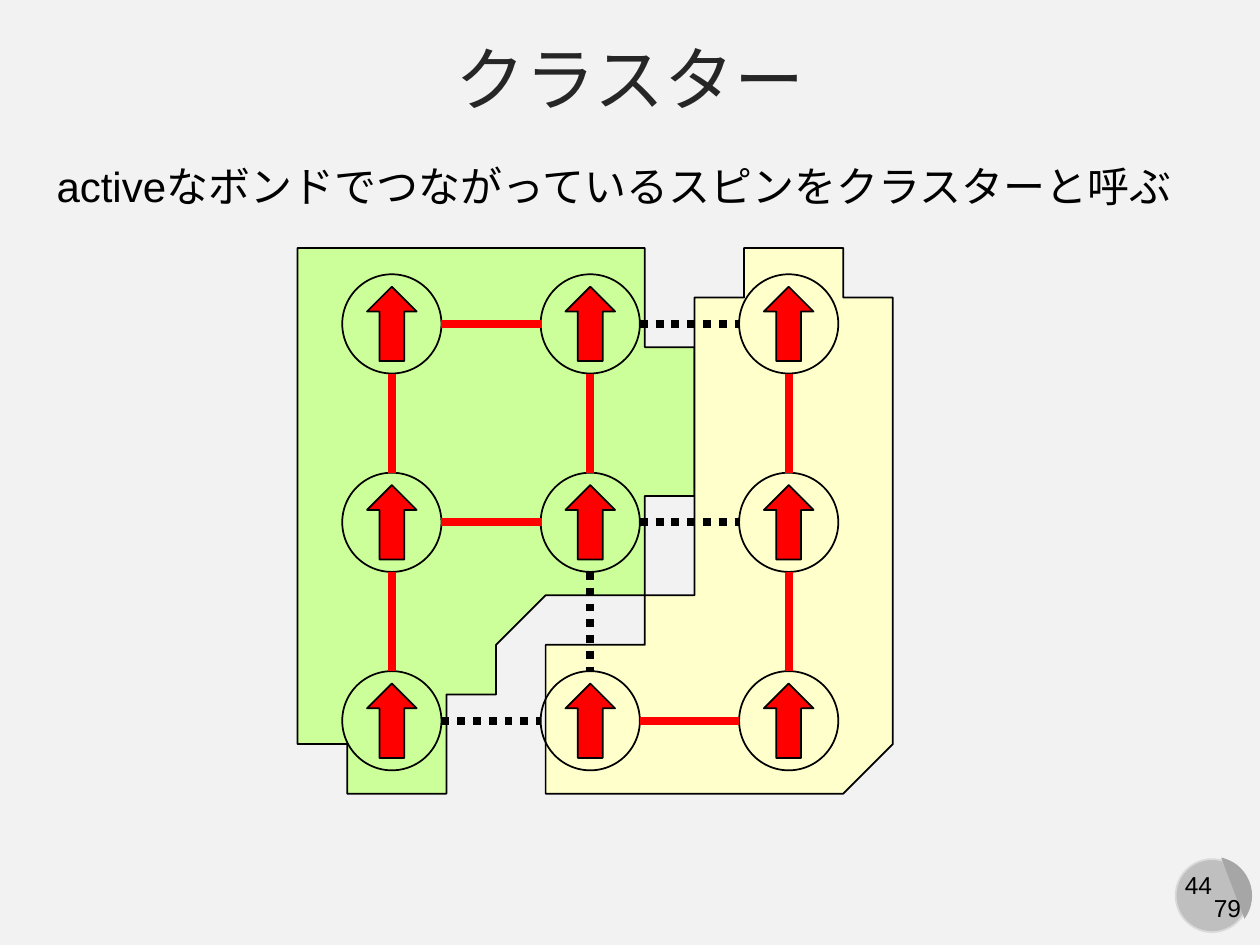
from lxml.etree import SubElement
from pptx import Presentation
from pptx.dml.color import RGBColor
from pptx.enum.dml import MSO_LINE
from pptx.enum.shapes import MSO_CONNECTOR, MSO_SHAPE
from pptx.enum.text import MSO_ANCHOR, MSO_AUTO_SIZE, PP_ALIGN
from pptx.oxml.ns import qn
from pptx.util import Cm, Pt

COLORS = {
    "background": "F2F2F2", "title": "262626", "black": "000000", "red": "FF0000",
    "green": "CCFF99", "yellow": "FFFFCC",
    "badge": "BFBFBF", "badge_edge": "D9D9D9", "badge_chord": "A6A6A6",
}


def write_text(shape, text, size, color="black", align=PP_ALIGN.CENTER, wrap=False):
    frame = shape.text_frame
    frame.word_wrap = wrap
    frame.auto_size = MSO_AUTO_SIZE.NONE
    paragraph = frame.paragraphs[0]
    paragraph.alignment = align
    run = paragraph.add_run()
    run.text = text
    run.font.name = "Arial"
    run.font.size = Pt(size)
    run.font.color.rgb = RGBColor.from_string(COLORS[color])


def style_shape(shape, fill=None, line="black"):
    shape.shadow.inherit = False
    if fill:
        shape.fill.solid()
        shape.fill.fore_color.rgb = RGBColor.from_string(COLORS[fill])
    else:
        shape.fill.background()
    if line:
        shape.line.color.rgb = RGBColor.from_string(COLORS[line])
        shape.line.width = Pt(1)
    else:
        shape.line.fill.background()


presentation = Presentation()
presentation.slide_width = Cm(25.4)
presentation.slide_height = Cm(19.05)
slide = presentation.slides.add_slide(presentation.slide_layouts[5])
slide.background.fill.solid()
slide.background.fill.fore_color.rgb = RGBColor.from_string(COLORS["background"])
shapes = slide.shapes

# Title
title = shapes.title
title.left, title.top, title.width, title.height = Cm(0), Cm(0.53), Cm(25.4), Cm(2.08)
title.text_frame.vertical_anchor = MSO_ANCHOR.MIDDLE
write_text(title, "クラスター", 40, color="title", wrap=True)

# Page badge
badge = shapes.add_shape(MSO_SHAPE.OVAL, Cm(23.7), Cm(17.32), Cm(1.47), Cm(1.47))
style_shape(badge, fill="badge", line="badge_edge")
page_number = shapes.add_textbox(Cm(23.6), Cm(17.42), Cm(1.12), Cm(0.86))
write_text(page_number, "44", 14)
chord = shapes.add_shape(MSO_SHAPE.CHORD, Cm(23.67), Cm(17.27), Cm(1.57), Cm(1.57))
chord.adjustments[0] = 16.2
chord.adjustments[1] = 84.85
chord.rotation = 255
style_shape(chord, fill="badge_chord", line=None)
page_count = shapes.add_textbox(Cm(24.21), Cm(17.88), Cm(1.07), Cm(0.86))
write_text(page_count, "79", 14)

# Cluster outlines: a smooth curve through a few points, in centimetres
outlines = {
    "green": [
        (6.35, 5.1), (7.4, 5.03), (12.4, 5.18), (12.8, 5.35), (13.5, 7.1),
        (13.6, 8.6), (13.4, 10.4), (12.85, 11.75), (11.6, 12.4), (10.4, 12.53),
        (9.8, 13.4), (8.9, 15.2), (8.1, 16.37), (7.3, 16.1), (6.35, 15.05),
        (6.0, 13.5), (5.95, 11.4), (6.08, 8.2), (6.37, 6.1),
    ],
    "yellow": [
        (16.5, 5.15), (15.4, 5.17), (14.65, 5.5), (14.3, 7.5), (14, 10.2),
        (13.7, 11.9), (12.9, 12.55), (11.6, 13.05), (10.9, 14.1), (11.0, 15.3),
        (12.2, 15.77), (14, 15.9), (17, 15.93), (17.85, 14.75), (17.9, 13.55),
        (18.2, 12), (18.28, 10.4), (17.9, 8.4), (17.35, 5.5), (17.0, 5.25),
    ],
}
steps = 6
for color, points in outlines.items():
    knots = [points[0], *points, points[0], points[0]]
    curve = []
    for before, start, end, after in zip(knots, knots[1:], knots[2:], knots[3:]):
        for step in range(steps):
            t = step / steps
            curve.append([
                b + 0.5 * t * (c - a + t * (2 * a - 5 * b + 4 * c - d + t * (3 * (b - c) + d - a)))
                for a, b, c, d in zip(before, start, end, after)
            ])
    builder = shapes.build_freeform(*curve[0], scale=Cm(1))
    builder.add_line_segments(curve[1:], close=True)
    style_shape(builder.convert_to_shape(), fill=color)

# Spins on a 3 x 3 lattice, in centimetres
first_x, first_y, spacing, radius = 7.9, 6.53, 4, 1
columns = [first_x + spacing * index for index in range(3)]
rows = [first_y + spacing * index for index in range(3)]
for y in rows:
    for x in columns:
        spin = shapes.add_group_shape().shapes
        circle = spin.add_shape(MSO_SHAPE.OVAL, Cm(x - radius), Cm(y - radius),
                                Cm(2 * radius), Cm(2 * radius))
        style_shape(circle)
        arrow = spin.add_shape(MSO_SHAPE.UP_ARROW, Cm(x - 0.5), Cm(y - 0.75), Cm(1), Cm(1.5))
        style_shape(arrow, fill="red")

# Bonds: every neighbouring pair, active unless listed as (column, row, step)
right, down = (1, 0), (0, 1)
inactive_bonds = [(1, 0, right), (1, 1, right), (1, 1, down), (0, 2, right)]
for row, y in enumerate(rows):
    for column, x in enumerate(columns):
        for direction in (right, down):
            step_x, step_y = direction
            if column + step_x == len(columns) or row + step_y == len(rows):
                continue
            inactive = (column, row, direction) in inactive_bonds
            far = spacing - radius
            bond = shapes.add_connector(
                MSO_CONNECTOR.STRAIGHT,
                Cm(x + radius * step_x), Cm(y + radius * step_y),
                Cm(x + far * step_x), Cm(y + far * step_y))
            bond.line.color.rgb = RGBColor.from_string(COLORS["black" if inactive else "red"])
            bond.line.width = Pt(4.5)
            if inactive:
                bond.line.dash_style = MSO_LINE.ROUND_DOT
            SubElement(bond._element.spPr, qn("a:effectLst"))

# Definition
definition = shapes.add_textbox(Cm(0.89), Cm(3.12), Cm(23.27), Cm(1.27))
write_text(definition, "activeなボンドでつながっているスピンをクラスターと呼ぶ", 24, align=PP_ALIGN.LEFT)

presentation.save("out.pptx")
